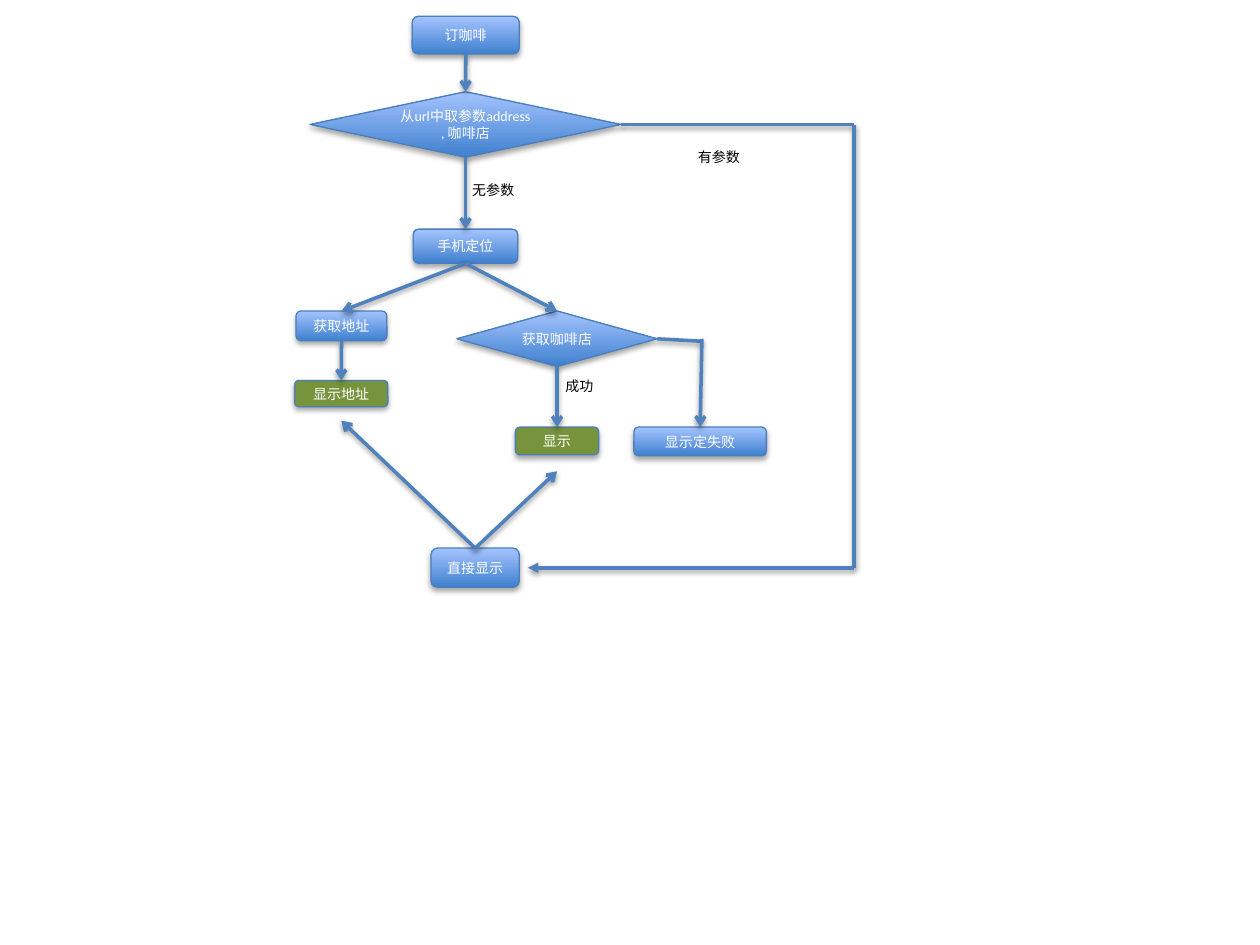
"""Build a flowchart slide for ordering coffee."""
from dataclasses import dataclass

from lxml import etree
from pptx import Presentation
from pptx.dml.color import RGBColor
from pptx.enum.shapes import MSO_CONNECTOR, MSO_SHAPE
from pptx.enum.text import MSO_ANCHOR, MSO_AUTO_SIZE, PP_ALIGN
from pptx.oxml.ns import qn
from pptx.util import Cm, Pt

ROUNDED = MSO_SHAPE.ROUNDED_RECTANGLE
DIAMOND = MSO_SHAPE.DIAMOND
STRAIGHT = MSO_CONNECTOR.STRAIGHT
MIDDLE, TOP = MSO_ANCHOR.MIDDLE, MSO_ANCHOR.TOP
CENTER, LEFT = PP_ALIGN.CENTER, PP_ALIGN.LEFT
FIT_SHAPE = MSO_AUTO_SIZE.SHAPE_TO_FIT_TEXT

WHITE = RGBColor(0xFF, 0xFF, 0xFF)
BLACK = RGBColor(0x00, 0x00, 0x00)
GREEN = RGBColor(0x77, 0x93, 0x3C)
DARK_BLUE = RGBColor(0x3F, 0x80, 0xCE)
LIGHT_BLUE = RGBColor(0xA4, 0xC4, 0xFF)
OUTLINE = RGBColor(0x4B, 0x7E, 0xBC)
LINE_BLUE = RGBColor(0x4F, 0x81, 0xBD)

Point = tuple[float, float]


@dataclass(frozen=True)
class Node:
    text: str
    left: float
    top: float
    width: float
    height: float
    preset: int = ROUNDED
    highlighted: bool = False

    @property
    def entry(self) -> Point:
        return self.left + self.width / 2, self.top

    @property
    def exit(self) -> Point:
        return self.left + self.width / 2, self.top + self.height

    @property
    def side(self) -> Point:
        return self.left + self.width, self.top + self.height / 2


@dataclass(frozen=True)
class Link:
    start: Point
    end: Point
    head: str = "arrow"


@dataclass(frozen=True)
class Label:
    text: str
    left: float
    top: float
    width: float


ORDER = Node("订咖啡", 8.31, 0.33, 2.16, 0.76)
PARAMETERS = Node("从url中取参数address , 咖啡店", 6.25, 1.85, 6.27, 1.32, DIAMOND)
LOCATE = Node("手机定位", 8.33, 4.62, 2.11, 0.69)
GET_ADDRESS = Node("获取地址", 5.97, 6.27, 1.83, 0.6)
SHOW_ADDRESS = Node("显示地址", 5.94, 7.67, 1.88, 0.53, highlighted=True)
GET_SHOP = Node("获取咖啡店", 9.21, 6.27, 4.04, 1.12, DIAMOND)
SHOW_SHOP = Node("显示", 10.39, 8.61, 1.68, 0.56, highlighted=True)
SHOW_FAILURE = Node("显示定失败", 12.78, 8.61, 2.67, 0.58)
SHOW_DIRECTLY = Node("直接显示", 8.69, 11.05, 1.78, 0.79)

NODES = [ORDER, PARAMETERS, LOCATE, GET_ADDRESS, SHOW_ADDRESS,
         GET_SHOP, SHOW_SHOP, SHOW_FAILURE, SHOW_DIRECTLY]
FLOWS = [(ORDER, PARAMETERS), (PARAMETERS, LOCATE), (LOCATE, GET_ADDRESS),
         (LOCATE, GET_SHOP), (GET_SHOP, SHOW_SHOP), (GET_ADDRESS, SHOW_ADDRESS)]

UPPER_BEND = (17.22, PARAMETERS.side[1])
LOWER_BEND = (17.22, SHOW_DIRECTLY.side[1])
LINKS = [Link(source.exit, target.entry) for source, target in FLOWS] + [
    Link(PARAMETERS.side, UPPER_BEND, "none"),
    Link(UPPER_BEND, LOWER_BEND, "none"),
    Link(LOWER_BEND, (10.64, LOWER_BEND[1]), "triangle"),
    Link(SHOW_DIRECTLY.entry, (SHOW_ADDRESS.exit[0], 8.48)),
    Link(SHOW_DIRECTLY.entry, (SHOW_SHOP.exit[0], 9.5)),
    Link(GET_SHOP.side, (14.15, 6.88), "none"),
    Link((14.15, 6.83), SHOW_FAILURE.entry),
]
LABELS = [Label("无参数", 9.27, 3.53, 1.37), Label("成功", 11.15, 7.49, 1.09),
          Label("有参数", 13.82, 2.87, 1.37)]


def add_shadow(properties, opacity: int, distance: float) -> None:
    effects = properties.find(qn("a:effectLst"))
    if effects is None:
        effects = etree.SubElement(properties, qn("a:effectLst"))
    shadow = etree.SubElement(
        effects, qn("a:outerShdw"), blurRad=str(Pt(3.1)),
        dist=str(Pt(distance)), dir="5400000", rotWithShape="0")
    color = etree.SubElement(shadow, qn("a:srgbClr"), val=str(BLACK))
    etree.SubElement(color, qn("a:alpha"), val=str(opacity * 1000))


def write_text(shape, text: str, *, color: RGBColor = WHITE, align=CENTER,
               anchor=MIDDLE, wrap: bool = True) -> None:
    frame = shape.text_frame
    frame.word_wrap = wrap
    frame.vertical_anchor = anchor
    paragraph = frame.paragraphs[0]
    paragraph.alignment = align
    run = paragraph.add_run()
    run.text = text
    run.font.name = "Calibri"
    run.font.size = Pt(8)
    run.font.color.rgb = color


def draw_node(slide, node: Node) -> None:
    shape = slide.shapes.add_shape(
        node.preset, Cm(node.left), Cm(node.top), Cm(node.width), Cm(node.height))
    if node.highlighted:
        shape.fill.solid()
        shape.fill.fore_color.rgb = GREEN
    else:
        shape.fill.gradient()
        shape.fill.gradient_angle = 90
        for stop, position, color in zip(
                shape.fill.gradient_stops, (0, 1), (DARK_BLUE, LIGHT_BLUE)):
            stop.position = position
            stop.color.rgb = color
    shape.line.color.rgb = OUTLINE
    shape.line.width = Pt(0.75)
    shape.shadow.inherit = False
    add_shadow(shape.element.spPr, 35, 1.8)
    write_text(shape, node.text)


def draw_link(slide, link: Link) -> None:
    connector = slide.shapes.add_connector(
        STRAIGHT, *(Cm(value) for value in link.start + link.end))
    connector.line.color.rgb = LINE_BLUE
    connector.line.width = Pt(2)
    properties = connector.element.spPr
    etree.SubElement(properties.find(qn("a:ln")), qn("a:tailEnd"), type=link.head)
    add_shadow(properties, 38, 1.6)


def draw_label(slide, label: Label) -> None:
    shape = slide.shapes.add_textbox(
        Cm(label.left), Cm(label.top), Cm(label.width), Cm(0.6))
    shape.text_frame.auto_size = FIT_SHAPE
    write_text(shape, label.text, color=BLACK, align=LEFT, anchor=TOP, wrap=False)


def main() -> None:
    presentation = Presentation()
    presentation.slide_width = Cm(25.4)
    presentation.slide_height = Cm(19.05)
    slide = presentation.slides.add_slide(presentation.slide_layouts[6])
    for node in NODES:
        draw_node(slide, node)
    for link in LINKS:
        draw_link(slide, link)
    for label in LABELS:
        draw_label(slide, label)
    presentation.save("out.pptx")


main()
